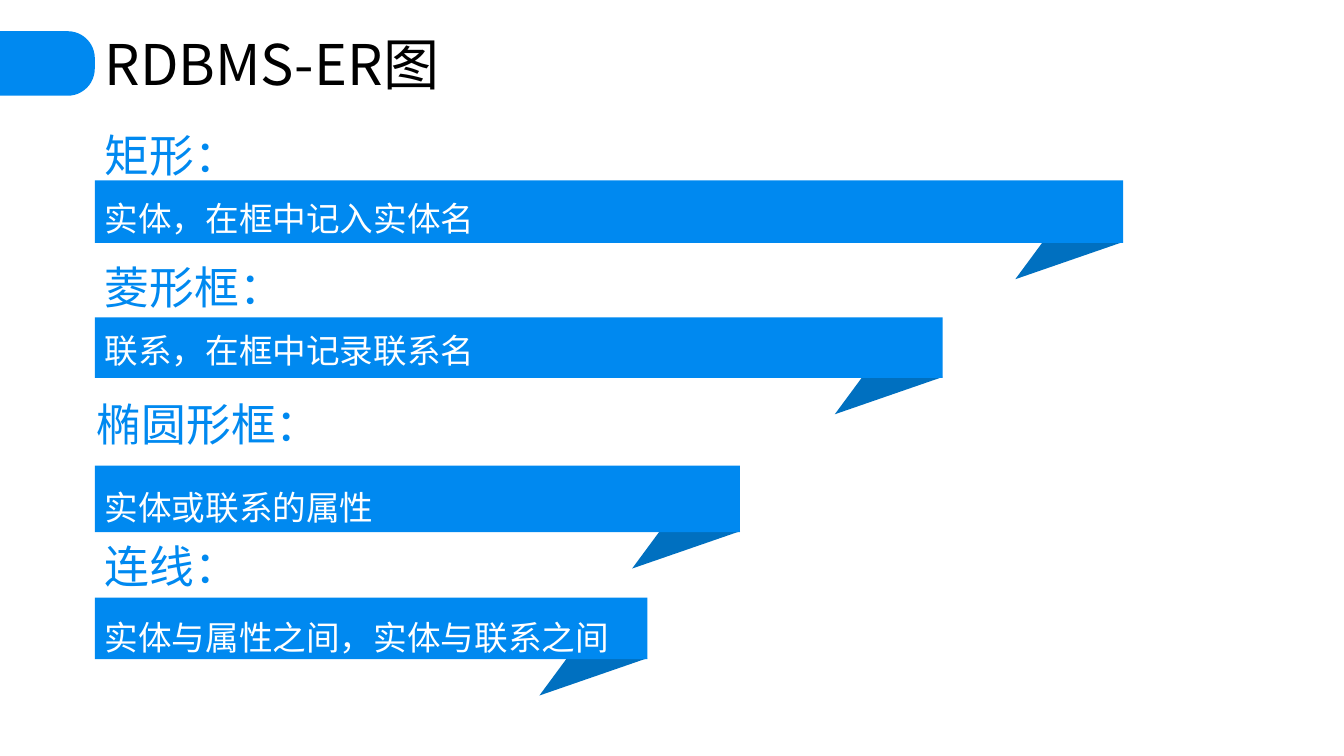
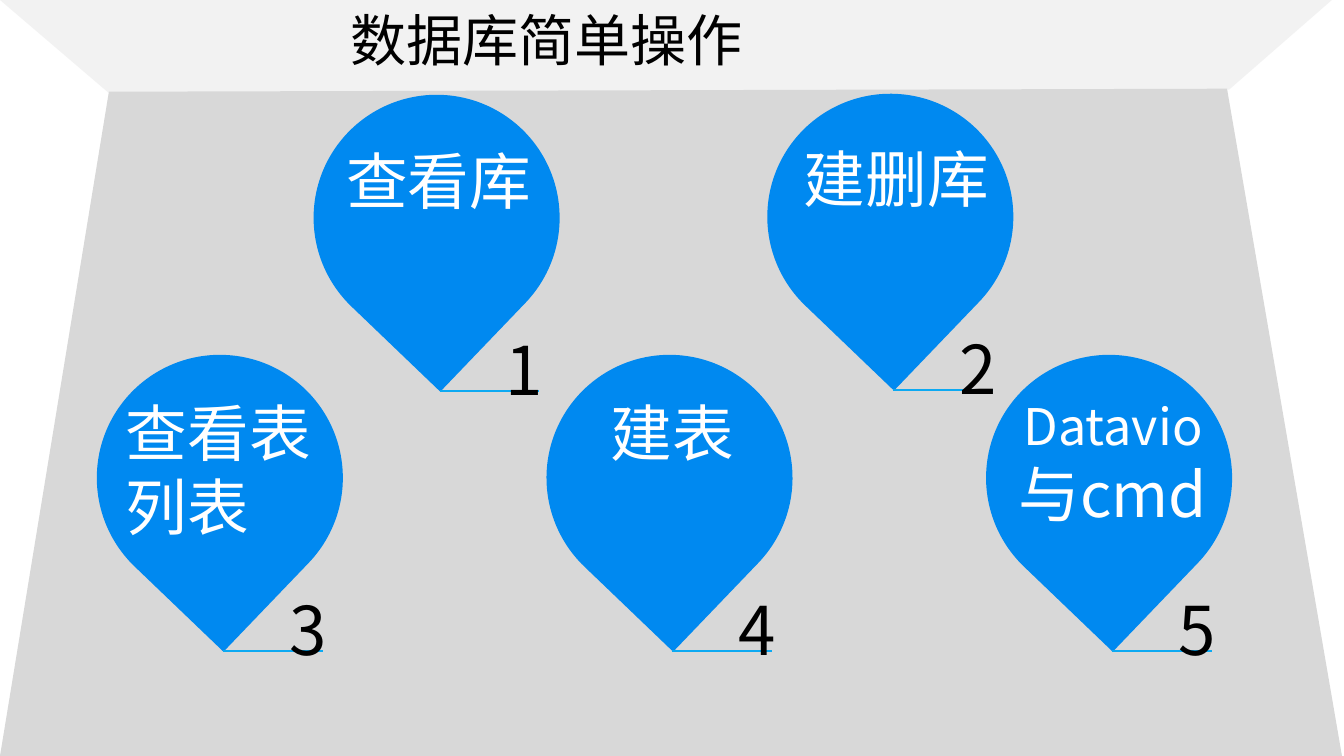
from lxml import etree
from pptx import Presentation
from pptx.dml.color import RGBColor
from pptx.enum.shapes import MSO_CONNECTOR, MSO_SHAPE
from pptx.enum.text import MSO_ANCHOR, PP_ALIGN
from pptx.oxml.ns import qn
from pptx.util import Inches, Pt

RECT = MSO_SHAPE.RECTANGLE
TEAR = MSO_SHAPE.TEAR
TAB = MSO_SHAPE.ROUND_2_SAME_RECTANGLE
LINE = MSO_CONNECTOR.STRAIGHT
MIDDLE = MSO_ANCHOR.MIDDLE
LEFT, CENTER = PP_ALIGN.LEFT, PP_ALIGN.CENTER

FONT = "Noto Sans CJK SC"
BLUE, NAVY, SKY = "0089F0", "0070C0", "0CA9F2"
BLACK, WHITE = "000000", "FFFFFF"
WALL, FLOOR = "F2F2F2", "D8D8D8"


def color(code):
    return RGBColor.from_string(code)


class Deck:
    """Holds the style and the slide being built."""

    def __init__(self):
        self.prs = Presentation()
        self.prs.slide_width = Inches(13.33)
        self.prs.slide_height = Inches(7.5)
        self.slide = None

    def add(self):
        self.slide = self.prs.slides.add_slide(self.prs.slide_layouts[6])

    def paint(self, shape, fill):
        shape.shadow.inherit = False
        shape.fill.solid()
        shape.fill.fore_color.rgb = color(fill)
        shape.line.fill.background()
        return shape

    def shape(self, kind, x, y, w, h, fill=BLUE):
        box = map(Inches, (x, y, w, h))
        return self.paint(self.slide.shapes.add_shape(kind, *box), fill)

    def poly(self, points, fill):
        spots = [(Inches(x), Inches(y)) for x, y in points]
        form = self.slide.shapes.build_freeform(*spots[0])
        form.add_line_segments(spots[1:], close=True)
        return self.paint(form.convert_to_shape(), fill)

    def fill_text(self, frame, rows, align=LEFT, space=None):
        """Each row is (text, size, colour); text may be a list of (text, size)."""
        frame.word_wrap = True
        for i, (text, size, ink) in enumerate(rows):
            para = frame.add_paragraph() if i else frame.paragraphs[0]
            para.alignment = align
            para.line_spacing = space
            font = para.font
            font.name, font.size = FONT, Pt(size)
            font.color.rgb = color(ink)
            props = para._p.pPr.find(qn("a:defRPr"))
            etree.SubElement(props, qn("a:ea")).set("typeface", FONT)
            if isinstance(text, str):
                para.add_run().text = text
                continue
            for part, points in text:
                run = para.add_run()
                run.text = part
                run.font.size = Pt(points)

    def text(self, x, y, w, h, rows, align=LEFT, space=None):
        box = self.slide.shapes.add_textbox(*map(Inches, (x, y, w, h)))
        self.fill_text(box.text_frame, rows, align, space)

    def title(self, x, y, w, text):
        self.text(x, y, w, 0.77, [(text, 40, BLACK)])

    def tab(self):
        tab = self.shape(TAB, 0.15, 0.16, 0.64, 0.94)
        tab.adjustments[0] = 0.42
        tab.rotation = 90

    def band(self, y, w, h, text=None):
        """Ribbon with a folded right end."""
        x = 0.94
        end, base = x + w, y + h
        self.poly([(end - 0.59, base - 0.29), (end - 1.07, base + 0.36),
                   (end, base - 0.01)], NAVY)
        bar = self.shape(RECT, x, y, w, h)
        if text:
            bar.text_frame.vertical_anchor = MIDDLE
            self.fill_text(bar.text_frame, [(text, 24, WHITE)], space=1.4)

    def pin(self, x, y):
        drop = self.shape(TEAR, x, y, 2.44, 2.44)
        drop.rotation = 133.8

    def mark(self, x, y, number):
        """Number on a short line that starts at the tip of a pin."""
        ends = map(Inches, (x, y, x + 0.99, y))
        line = self.slide.shapes.add_connector(LINE, *ends)
        line.line.color.rgb = color(SKY)
        line.line.width = Pt(1.5)
        etree.SubElement(line._element.spPr, qn("a:effectLst"))
        self.text(x + 0.56, y - 0.67, 0.89, 0.91, [(str(number), 48, BLACK)])


def chart(deck):
    """Meaning of the symbols in an ER diagram."""
    deck.add()
    deck.title(0.94, 0.24, 10.74, "RDBMS-ER图")
    deck.tab()
    deck.band(3.15, 8.41, 0.6)
    deck.band(1.79, 10.2, 0.62)
    deck.text(0.94, 1.01, 10.31, 2.74, [
        ("矩形：", 32, BLUE),
        ("实体，在框中记入实体名", 24, WHITE),
        ("菱形框：", 32, BLUE),
        ("联系，在框中记录联系名", 24, WHITE),
    ], space=1.4)
    deck.text(0.86, 3.89, 3.76, 0.94, [("椭圆形框：", 32, BLUE)])
    deck.band(4.62, 6.4, 0.66, "实体或联系的属性")
    deck.band(5.93, 5.48, 0.61, "实体与属性之间，实体与联系之间")
    deck.text(0.94, 5.3, 2.86, 0.64, [("连线：", 32, BLUE)])


def room(deck):
    """Five numbered pins standing on a floor."""
    deck.add()
    deck.poly([(0, 0), (13.21, 0), (12.19, 0.89), (1.1, 0.94)], WALL)
    deck.poly([(1.08, 0.91), (12.17, 0.88), (13.31, 7.5), (0, 7.5)], FLOOR)

    # Pin corner, label corner, label width, alignment, label
    pins = [
        (3.11, 0.94, 3.22, 1.37, 2.26, CENTER, "查看库"),
        (7.61, 0.93, 7.76, 1.35, 2.26, CENTER, "建删库"),
        (0.96, 3.52, 1.15, 3.87, 2.42, LEFT, "查看表列表"),
        (5.42, 3.52, 5.54, 3.87, 2.26, CENTER, "建表"),
        (9.78, 3.52, 9.91, 3.87, 2.26, CENTER,
         [("Datavio", 36), ("与cmd", 44)]),
    ]
    for number, (x, y, left, top, w, align, label) in enumerate(pins, 1):
        deck.pin(x, y)
        deck.text(left, top, w, 0.84, [(label, 44, WHITE)], align)
        deck.mark(x + 1.25, y + 2.94, number)

    deck.title(3.38, 0.01, 4.4, "数据库简单操作")


def main():
    deck = Deck()
    chart(deck)
    room(deck)
    deck.prs.save("out.pptx")


if __name__ == "__main__":
    main()
